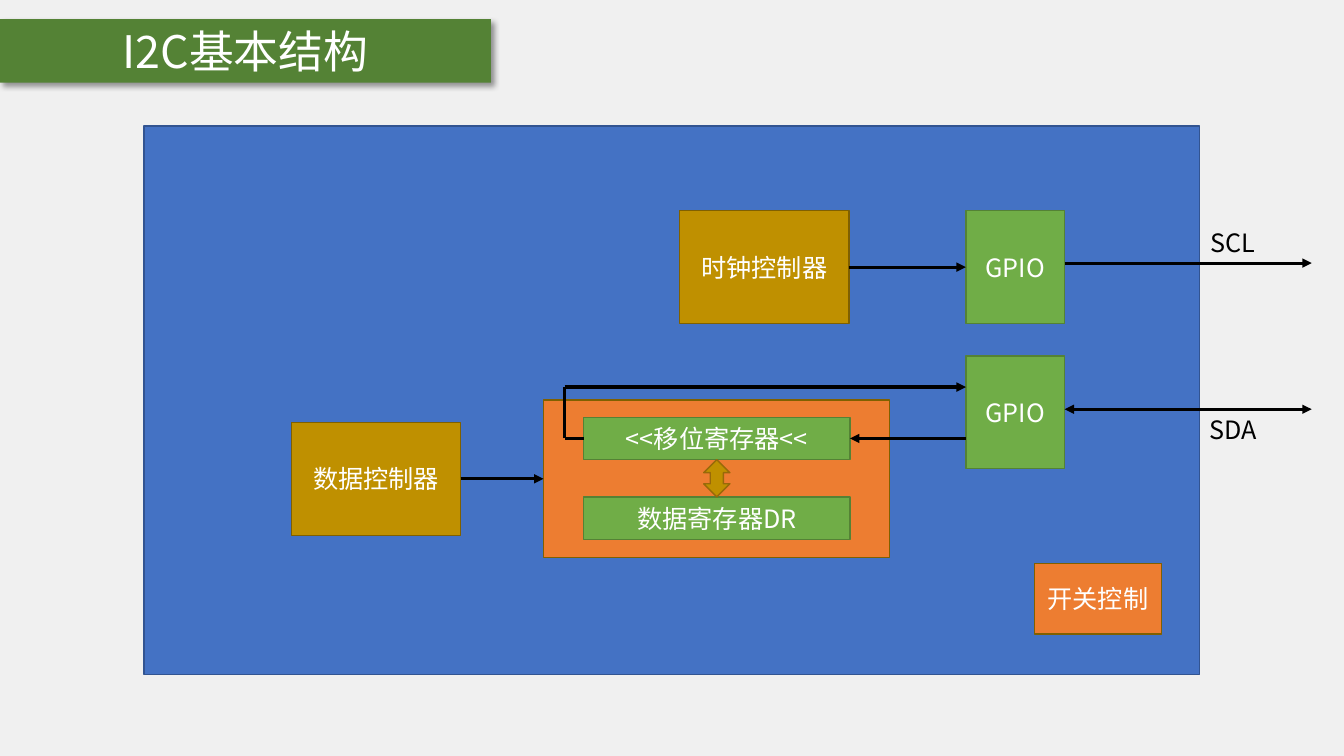
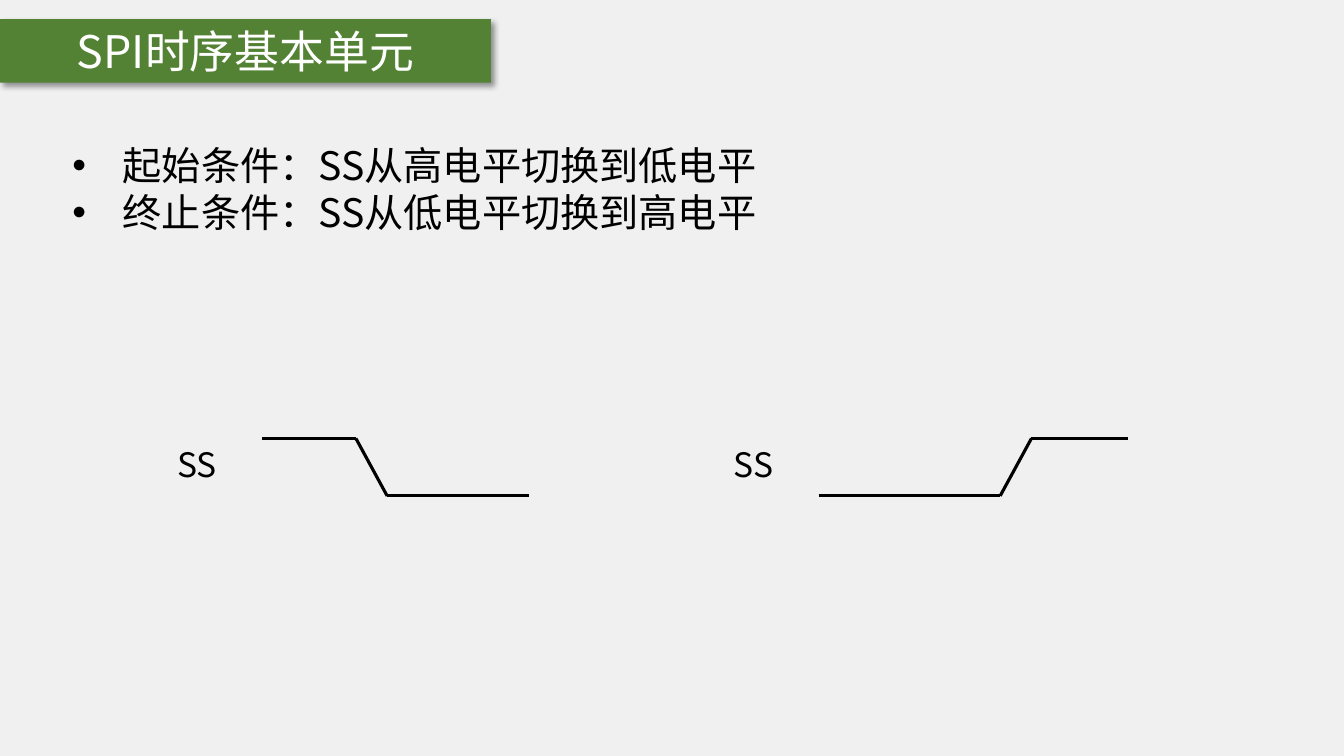
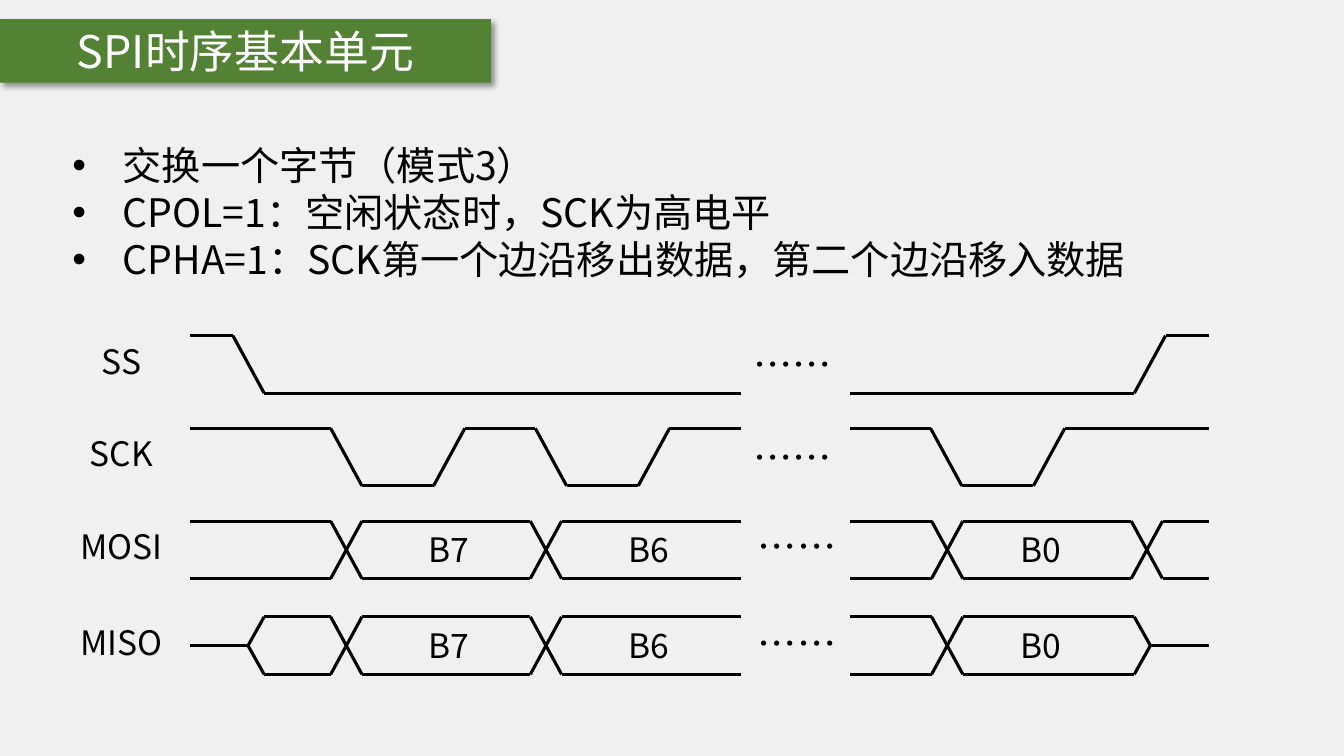
import dataclasses
import itertools

import pptx
import pptx.dml.color
import pptx.enum.shapes
import pptx.enum.text
import pptx.oxml
import pptx.oxml.ns
import pptx.util

Inches = pptx.util.Inches
Preset = pptx.enum.shapes.MSO_SHAPE
Align = pptx.enum.text.PP_ALIGN


@dataclasses.dataclass(frozen=True)
class Theme:
    font: str = "Noto Sans CJK SC"
    background: str = "F0F0F0"
    band: str = "548235"
    white: str = "FFFFFF"
    ink: str = "000000"
    chip: tuple = ("4472C4", "325491")
    controller: tuple = ("BF9000", "806000")
    panel: tuple = ("ED7D31", "806000")
    port: tuple = ("70AD47", "548235")
    transfer: tuple = ("BF9000", "986909")
    title_size: int = 32
    body_size: int = 28
    label_size: int = 24
    block_size: int = 18
    outline: float = 1
    stroke: float = 2.25


THEME = Theme()

STRUCTURE_TITLE = "I2C基本结构"
TIMING_TITLE = "SPI时序基本单元"

BLOCKS = [
    ("chip", "", THEME.chip, (1.43, 1.25, 10.47, 5.44)),
    ("clock", "时钟控制器", THEME.controller, (6.74, 2.09, 1.68, 1.12)),
    ("data", "数据控制器", THEME.controller, (2.89, 4.19, 1.68, 1.12)),
    ("registers", "", THEME.panel, (5.39, 3.97, 3.43, 1.56)),
    ("data register", "数据寄存器DR", THEME.port, (5.79, 4.93, 2.64, 0.42)),
    ("shift register", "<<移位寄存器<<", THEME.port, (5.79, 4.14, 2.64, 0.42)),
    ("SCL port", "GPIO", THEME.port, (9.58, 2.09, 0.98, 1.12)),
    ("SDA port", "GPIO", THEME.port, (9.58, 3.53, 0.98, 1.12)),
    ("switch", "开关控制", THEME.panel, (10.26, 5.59, 1.26, 0.7)),
]
PIN_LABELS = [("SCL", 2.21), ("SDA", 4.06)]

CONDITIONS = ["起始条件：SS从高电平切换到低电平", "终止条件：SS从低电平切换到高电平"]
MODE_RULES = [
    "交换一个字节（模式3）",
    "CPOL=1：空闲状态时，SCK为高电平",
    "CPHA=1：SCK第一个边沿移出数据，第二个边沿移入数据",
]

HIGH, MIDDLE, LOW = 0, 0.5, 1
SWING = 0.57
EDGE = 0.31
PULSE_LOW = 0.71
WAVE_LEFT, GAP_LEFT, GAP_RIGHT, WAVE_RIGHT = 1.88, 7.35, 8.43, 11.99
LABEL_WIDTH = 1.29
BITS = [("B7", 3.99), ("B6", 5.97), ("B0", 9.86)]


def clock_wave(start, end, falls):
    points = [(start, HIGH)]
    for fall in falls:
        bottom = fall + EDGE
        rise = bottom + PULSE_LOW
        points += [(fall, HIGH), (bottom, LOW), (rise, LOW), (rise + EDGE, HIGH)]
    return points + [(end, HIGH)]


def data_rails(start, end, crossings):
    rails = []
    for level in (HIGH, LOW):
        points = [(start, level)]
        for crossing in crossings:
            points.append((crossing, level))
            level = LOW - level
            points.append((crossing + EDGE, level))
        rails.append(points + [(end, level)])
    return rails


START_WAVE = [(2.6, HIGH), (3.53, HIGH), (3.84, LOW), (5.25, LOW)]
STOP_WAVE = [(8.12, LOW), (9.92, LOW), (10.23, HIGH), (11.19, HIGH)]

SELECT_WAVES = [
    [(WAVE_LEFT, HIGH), (2.31, HIGH), (2.62, LOW), (GAP_LEFT, LOW)],
    [(GAP_RIGHT, LOW), (11.25, LOW), (11.56, HIGH), (WAVE_RIGHT, HIGH)],
]
CLOCK_WAVES = [
    clock_wave(WAVE_LEFT, GAP_LEFT, [3.28, 5.31]),
    clock_wave(GAP_RIGHT, WAVE_RIGHT, [9.23]),
]
MOSI_WAVES = data_rails(WAVE_LEFT, GAP_LEFT, [3.28, 5.26]) + data_rails(
    GAP_RIGHT, WAVE_RIGHT, [9.24, 11.22]
)
MISO_WAVES = [
    [(WAVE_LEFT, MIDDLE), (2.46, MIDDLE)],
    *([(2.46, MIDDLE)] + rail for rail in data_rails(2.62, GAP_LEFT, [3.28, 5.26])),
    *(rail + [(11.41, MIDDLE)] for rail in data_rails(GAP_RIGHT, 11.25, [9.24])),
    [(11.41, MIDDLE), (WAVE_RIGHT, MIDDLE)],
]
SIGNALS = [
    ("SS", 3.33, SELECT_WAVES, (7.22, 3.33), []),
    ("SCK", 4.25, CLOCK_WAVES, (7.22, 4.25), []),
    ("MOSI", 5.17, MOSI_WAVES, (7.26, 5.13), BITS),
    ("MISO", 6.12, MISO_WAVES, (7.26, 6.09), BITS),
]


def rgb(value):
    return pptx.dml.color.RGBColor.from_string(value)


def append_xml(parent, tag, **attributes):
    element = pptx.oxml.parse_xml(f"<a:{tag} {pptx.oxml.ns.nsdecls('a')}/>")
    for name, value in attributes.items():
        element.set(name, str(value))
    parent.append(element)
    return element


def write(paragraph, text, size, color):
    run = paragraph.add_run()
    run.text = text
    run.font.size = pptx.util.Pt(size)
    run.font.color.rgb = rgb(color)
    run.font.name = THEME.font
    append_xml(run.font._element, "ea", typeface=THEME.font)


def add_block(slide, box, colors, text="", size=THEME.block_size, preset=Preset.RECTANGLE):
    fill, outline = colors
    shape = slide.shapes.add_shape(preset, *map(Inches, box))
    shape.shadow.inherit = False
    shape.fill.solid()
    shape.fill.fore_color.rgb = rgb(fill)
    if outline:
        shape.line.color.rgb = rgb(outline)
        shape.line.width = pptx.util.Pt(THEME.outline)
    else:
        shape.line.fill.background()
    if text:
        shape.text_frame.vertical_anchor = pptx.enum.text.MSO_ANCHOR.MIDDLE
        paragraph = shape.text_frame.paragraphs[0]
        paragraph.alignment = Align.CENTER
        write(paragraph, text, size, THEME.white)
    return shape


def add_text_frame(slide, box):
    frame = slide.shapes.add_textbox(*map(Inches, box)).text_frame
    frame.word_wrap = True
    frame.auto_size = pptx.enum.text.MSO_AUTO_SIZE.SHAPE_TO_FIT_TEXT
    return frame


def add_label(slide, box, text, size=THEME.label_size):
    paragraph = add_text_frame(slide, box).paragraphs[0]
    paragraph.alignment = Align.CENTER
    write(paragraph, text, size, THEME.ink)


def add_bullets(slide, items, height):
    frame = add_text_frame(slide, (0.62, 1.35, 12.08, height))
    for index, item in enumerate(items):
        paragraph = frame.add_paragraph() if index else frame.paragraphs[0]
        properties = paragraph._p.get_or_add_pPr()
        properties.set("marL", str(Inches(0.5)))
        properties.set("indent", str(-Inches(0.5)))
        append_xml(properties, "buFont", typeface="Arial")
        append_xml(properties, "buChar", char="•")
        write(paragraph, item, THEME.body_size, THEME.ink)


def add_line(slide, start, end, heads=(), begin=None, finish=None):
    connector = slide.shapes.add_connector(
        pptx.enum.shapes.MSO_CONNECTOR.STRAIGHT, *map(Inches, start + end)
    )
    connector.line.color.rgb = rgb(THEME.ink)
    connector.line.width = pptx.util.Pt(THEME.stroke)
    properties = connector._element.spPr
    line = properties.find(pptx.oxml.ns.qn("a:ln"))
    for head in heads:
        append_xml(line, head, type="triangle")
    append_xml(properties, "effectLst")
    if begin:
        connector.begin_connect(*begin)
    if finish:
        connector.end_connect(*finish)


def add_wave(slide, points, top):
    places = [(x, top + level * SWING) for x, level in points]
    for start, end in itertools.pairwise(places):
        add_line(slide, start, end)


def add_slide(presentation, title):
    slide = presentation.slides.add_slide(presentation.slide_layouts[6])
    band = add_block(slide, (0, 0.19, 4.87, 0.63), (THEME.band, None), title, THEME.title_size)
    effects = band._element.spPr.find(pptx.oxml.ns.qn("a:effectLst"))
    shadow = append_xml(
        effects, "outerShdw", blurRad=pptx.util.Pt(4), dist=pptx.util.Pt(3),
        dir=45 * 60000, algn="tl", rotWithShape=0,
    )
    append_xml(append_xml(shadow, "srgbClr", val=THEME.ink), "alpha", val=40000)
    return slide


def build_structure(presentation):
    slide = add_slide(presentation, STRUCTURE_TITLE)
    blocks = {
        name: add_block(slide, box, colors, text) for name, text, colors, box in BLOCKS
    }
    add_block(slide, (6.98, 4.56, 0.26, 0.37), THEME.transfer, preset=Preset.UP_DOWN_ARROW)
    for text, top in PIN_LABELS:
        add_label(slide, (11.88, top, 0.7, 0.4), text, THEME.block_size)

    arrow = ["tailEnd"]
    shift = blocks["shift register"]
    add_line(slide, (8.42, 2.65), (9.58, 2.65), arrow,
             (blocks["clock"], 3), (blocks["SCL port"], 1))
    add_line(slide, (4.57, 4.75), (5.39, 4.75), arrow,
             (blocks["data"], 3), (blocks["registers"], 1))
    add_line(slide, (9.58, 4.35), (8.43, 4.35), arrow, finish=(shift, 3))
    add_line(slide, (5.79, 4.35), (5.6, 4.35), begin=(shift, 1))
    add_line(slide, (5.6, 4.35), (5.6, 3.84))
    add_line(slide, (5.6, 3.84), (9.58, 3.84), arrow)
    add_line(slide, (10.56, 2.61), (13.01, 2.61), arrow)
    add_line(slide, (10.56, 4.06), (13.01, 4.06), ["headEnd", "tailEnd"])


def build_conditions(presentation):
    slide = add_slide(presentation, TIMING_TITLE)
    add_bullets(slide, CONDITIONS, 1.04)
    for wave in (START_WAVE, STOP_WAVE):
        add_label(slide, (wave[0][0] - LABEL_WIDTH, 4.35, LABEL_WIDTH, 0.5), "SS")
        add_wave(slide, wave, 4.35)


def build_exchange(presentation):
    slide = add_slide(presentation, TIMING_TITLE)
    add_bullets(slide, MODE_RULES, 1.51)
    for name, top, waves, dots, bits in SIGNALS:
        add_label(slide, (0.56, top, LABEL_WIDTH, 0.5), name)
        for wave in waves:
            add_wave(slide, wave, top)
        add_label(slide, (*dots, LABEL_WIDTH, 0.57), "……", THEME.body_size)
        for bit, left in bits:
            add_label(slide, (left, top + 0.03, 0.93, 0.5), bit)


def main():
    presentation = pptx.Presentation()
    presentation.slide_width = Inches(13.33)
    presentation.slide_height = Inches(7.5)
    background = presentation.slide_master.background.fill
    background.solid()
    background.fore_color.rgb = rgb(THEME.background)
    build_structure(presentation)
    build_conditions(presentation)
    build_exchange(presentation)
    presentation.save("out.pptx")


if __name__ == "__main__":
    main()
